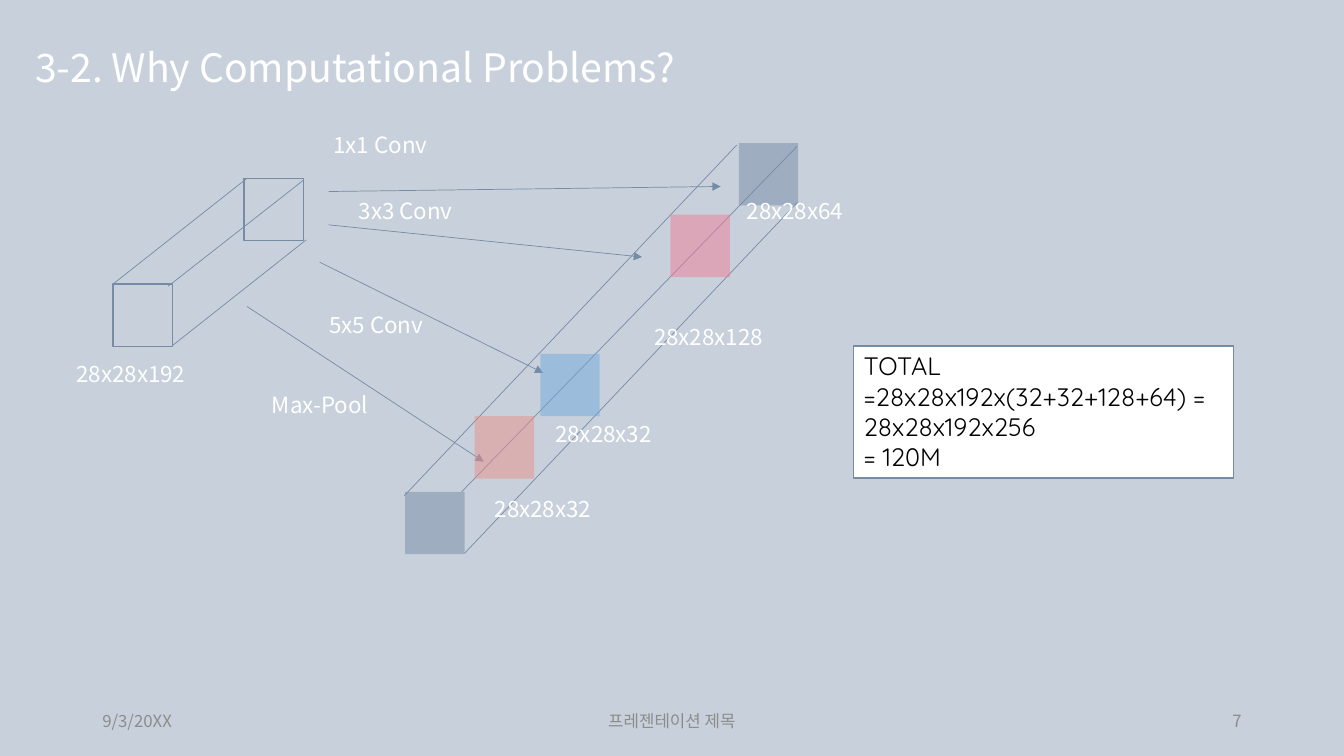
import pptx
import pptx.dml.color
import pptx.enum.shapes
import pptx.enum.text
import pptx.oxml.ns
import pptx.util
import lxml.etree

Pt = pptx.util.Pt
Color = pptx.dml.color.RGBColor
Align = pptx.enum.text.PP_ALIGN
Anchor = pptx.enum.text.MSO_ANCHOR
AutoSize = pptx.enum.text.MSO_AUTO_SIZE
qn = pptx.oxml.ns.qn

BACKGROUND = Color(0xC8, 0xD1, 0xDB)
STEEL = Color(0x76, 0x8B, 0xA6)
BLUE = Color(0x70, 0xA8, 0xDB)
CORAL = Color(0xE8, 0x90, 0x8B)
PINK = Color(0xF0, 0x7C, 0x98)
GRAY = Color(0x8C, 0x8C, 0x8C)
WHITE = Color(0xFF, 0xFF, 0xFF)
BLACK = Color(0, 0, 0)

SANS = "Noto Sans CJK KR"
ROUNDED = "Quicksand"
SQUARE = (42.5, 44.6)
LABEL = (108, 26.6)

TITLE_FORMAT = {"size": Pt(28), "name": SANS}
LABEL_FORMAT = {"size": Pt(16), "name": SANS}
FOOTER_FORMAT = {"size": Pt(12), "name": SANS}
TOTAL_FORMAT = {"size": Pt(18), "name": ROUNDED}
MIDDLE_FRAME = {"word_wrap": True, "vertical_anchor": Anchor.MIDDLE}
GROWING_FRAME = {"word_wrap": True, "auto_size": AutoSize.SHAPE_TO_FIT_TEXT}


def apply_format(target, values):
    for name, value in values.items():
        setattr(target, name, value)


def write_text(shape, lines, font_format, color, frame_format, paragraph_format):
    frame = shape.text_frame
    apply_format(frame, frame_format)
    for index, line in enumerate(lines):
        paragraph = frame.add_paragraph() if index else frame.paragraphs[0]
        apply_format(paragraph, paragraph_format)
        run = paragraph.add_run()
        run.text = line
        apply_format(run.font, font_format)
        run.font.color.rgb = color
        east_asian = lxml.etree.SubElement(run.font._element, qn("a:ea"))
        east_asian.set("typeface", font_format["name"])


def add_text(slide, box, text, font_format, color, frame_format, paragraph_format):
    shape = slide.shapes.add_textbox(*map(Pt, box))
    write_text(shape, [text], font_format, color, frame_format, paragraph_format)


def add_label(slide, left, top, text):
    add_text(slide, (left, top, *LABEL), text, LABEL_FORMAT, WHITE, GROWING_FRAME, {})


def add_line(slide, left, top, start, end, arrow=False):
    points = (left + start[0], top + start[1], left + end[0], top + end[1])
    line = slide.shapes.add_connector(
        pptx.enum.shapes.MSO_CONNECTOR.STRAIGHT, *map(Pt, points))
    line.line.color.rgb = STEEL
    line.line.width = Pt(0.5)
    if arrow:
        tail = lxml.etree.SubElement(line.line._get_or_add_ln(), qn("a:tailEnd"))
        tail.set("type", "triangle")
    lxml.etree.SubElement(line._element.spPr, qn("a:effectLst"))


def add_rectangle(slide, box, fill=None, outlined=False, opacity=100):
    shape = slide.shapes.add_shape(
        pptx.enum.shapes.MSO_SHAPE.RECTANGLE, *map(Pt, box))
    shape.shadow.inherit = False
    if fill is None:
        shape.fill.background()
    else:
        shape.fill.solid()
        shape.fill.fore_color.rgb = fill
        if opacity < 100:
            color = shape._element.spPr.find(".//" + qn("a:srgbClr"))
            alpha = lxml.etree.SubElement(color, qn("a:alpha"))
            alpha.set("val", str(opacity * 1000))
    if outlined:
        shape.line.color.rgb = STEEL
        shape.line.width = Pt(1)
    else:
        shape.line.fill.background()
    return shape


def add_title(slide, box):
    add_text(slide, box, "3-2. Why Computational Problems?", TITLE_FORMAT, WHITE,
             MIDDLE_FRAME, {"line_spacing": 0.9})


def add_footer(slide, left, top, height):
    for offset, width, text, alignment in (
            (0, 216, "9/3/20XX", Align.LEFT),
            (252, 324, "프레젠테이션 제목", Align.CENTER),
            (612, 216, "7", Align.RIGHT)):
        add_text(slide, (left + offset, top, width, height), text, FOOTER_FORMAT,
                 GRAY, MIDDLE_FRAME, {"alignment": alignment})


def add_input_volume(slide, left, top):
    for x, y in ((0, 75.6), (93.6, 0)):
        add_rectangle(slide, (left + x, top + y, *SQUARE), outlined=True)
    for start, end in (
            ((0, 75.6), (95.8, 0)),
            ((39.6, 77), (136.1, 1.4)),
            ((42.5, 119.5), (138.2, 43.9))):
        add_line(slide, left, top, start, end)
    add_label(slide, left - 33.1, top + 126, "28x28x192")


def add_operations(slide, left, top):
    for text, label, start, end in (
            ("1x1 Conv", (54.7, 0), (58.3, 46.8), (338.4, 43.2)),
            ("3x3 Conv", (72.7, 47.5), (58.3, 70.6), (282.2, 93.6)),
            ("5x5 Conv", (51.8, 128.9), (51.8, 97.2), (211.7, 176.4)),
            ("Max-Pool", (10.8, 185.8), (0, 128.9), (169.2, 239.8))):
        add_line(slide, left, top, start, end, arrow=True)
        add_label(slide, left + label[0], top + label[1], text)


def add_output_volume(slide, left, top):
    def add_section(x, y, color):
        add_rectangle(slide, (left + x, top + y, *SQUARE), color, opacity=50)

    add_section(0.7, 249.1, STEEL)
    for start, end in (
            ((43.2, 293), (280.8, 42.5)),
            ((0, 252), (237.6, 1.4)),
            ((41, 249.1), (280.8, 2.2))):
        add_line(slide, left, top, start, end)
    for x, y, color in (
            (239, 0, STEEL), (97.2, 150.5, BLUE),
            (50.4, 195.1, CORAL), (190.1, 51.1, PINK)):
        add_section(x, y, color)
    for x, y, text in (
            (171.4, 125.3, "28x28x128"), (100.8, 194.4, "28x28x32"),
            (57.6, 247.7, "28x28x32"), (237.6, 35.3, "28x28x64")):
        add_label(slide, left + x, top + y, text)


def add_total(slide, box):
    shape = add_rectangle(slide, box, WHITE, outlined=True)
    lines = ["TOTAL =28x28x192x(32+32+128+64) = 28x28x192x256", "= 120M"]
    write_text(shape, lines, TOTAL_FORMAT, BLACK,
               {**GROWING_FRAME, "vertical_anchor": Anchor.TOP},
               {"alignment": Align.LEFT})


def main():
    presentation = pptx.Presentation()
    apply_format(presentation, {"slide_width": Pt(960), "slide_height": Pt(540)})
    slide = presentation.slides.add_slide(presentation.slide_layouts[6])
    slide.background.fill.solid()
    slide.background.fill.fore_color.rgb = BACKGROUND
    add_title(slide, (18, 15.8, 488.9, 67.7))
    add_footer(slide, 66, 500.5, 28.8)
    add_input_volume(slide, 80.6, 127.4)
    add_operations(slide, 176.4, 90)
    add_output_volume(slide, 288.7, 102.2)
    add_total(slide, (609.8, 247, 271.4, 94.3))
    presentation.save("out.pptx")


if __name__ == "__main__":
    main()
